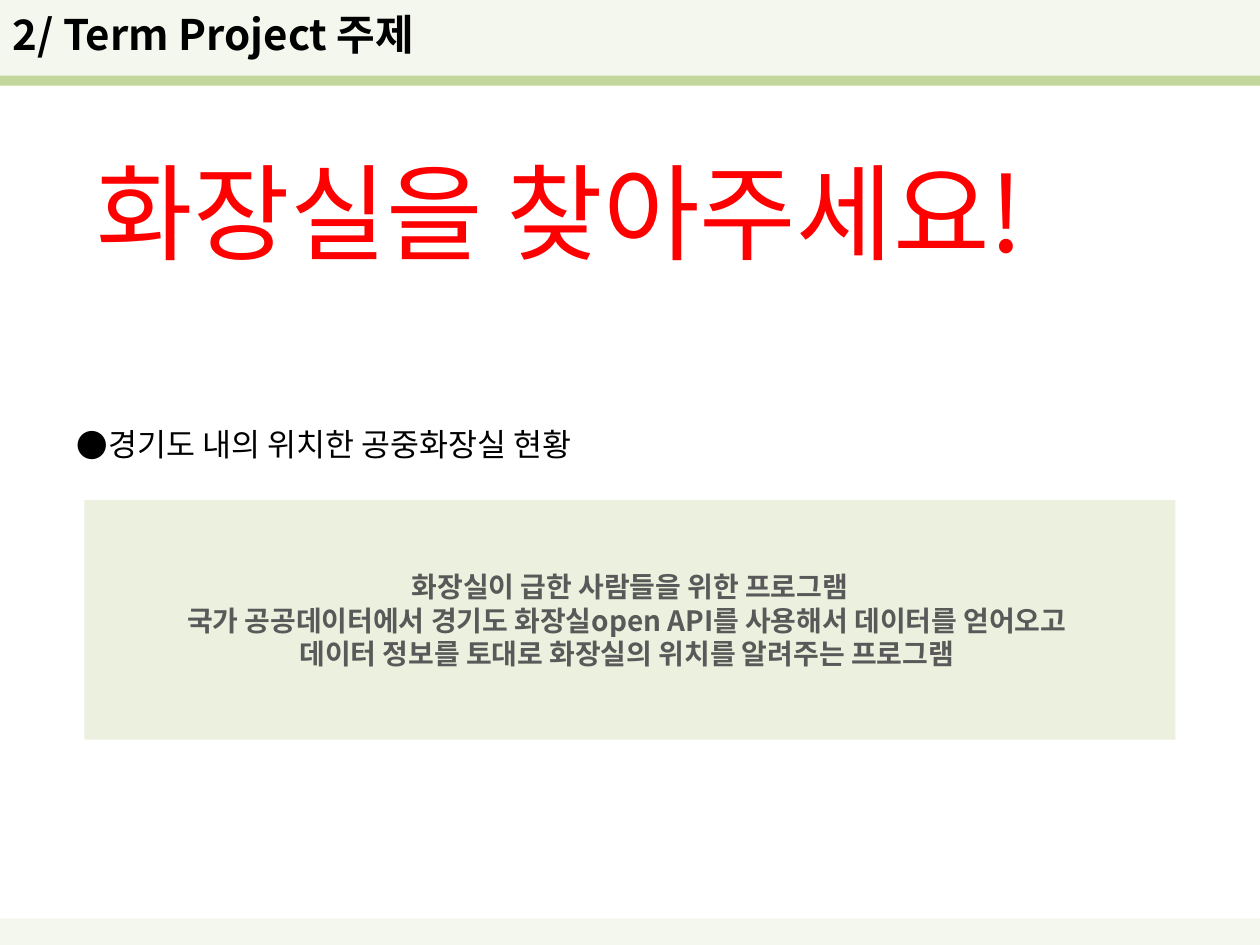
from lxml.etree import SubElement
from pptx import Presentation
from pptx.dml.color import RGBColor
from pptx.enum.shapes import MSO_SHAPE
from pptx.enum.text import MSO_ANCHOR, MSO_AUTO_SIZE, PP_ALIGN
from pptx.oxml.ns import qn
from pptx.util import Inches, Pt

FONT = "Noto Sans CJK KR"
WHITE = RGBColor(0xFF, 0xFF, 0xFF)
BLACK = RGBColor(0, 0, 0)
RED = RGBColor(0xFF, 0, 0)
GRAY = RGBColor(0x59, 0x59, 0x59)
PALE_GREEN = RGBColor(0xF4, 0xF7, 0xED)
BAND_GREEN = RGBColor(0xC3, 0xD6, 0x9B)
BOX_GREEN = RGBColor(0xEB, 0xF1, 0xDE)

# Content
TITLE = "2/ Term Project 주제"
HEADLINE = "화장실을 찾아주세요!"
TOPIC = "경기도 내의 위치한 공중화장실 현황"
SUMMARY = [
    "화장실이 급한 사람들을 위한 프로그램",
    "국가 공공데이터에서 경기도 화장실open API를 사용해서 데이터를 얻어오고 ",
    "데이터 정보를 토대로 화장실의 위치를 알려주는 프로그램 ",
]

# Layout in inches: left, top, width, height
PAGE_WIDTH, PAGE_HEIGHT = 10, 7.5
HEADER_HEIGHT, FOOTER_HEIGHT = 0.6, 0.21
MARGIN = 0.67
PANEL = (0, HEADER_HEIGHT, PAGE_WIDTH, PAGE_HEIGHT - HEADER_HEIGHT - FOOTER_HEIGHT)
BAND = (0, HEADER_HEIGHT, PAGE_WIDTH, 0.08)
SUMMARY_BOX = (MARGIN, 3.97, PAGE_WIDTH - 2 * MARGIN, 1.9)
BULLET_INDENT = Inches(0.22)


def place(box, area):
    for name, value in zip(("left", "top", "width", "height"), area):
        setattr(box, name, Inches(value))


def add_block(page, area, color):
    box = page.shapes.add_shape(MSO_SHAPE.RECTANGLE, *map(Inches, area))
    box.shadow.inherit = False
    box.fill.solid()
    box.fill.fore_color.rgb = color
    box.line.fill.background()
    return box


def write(box, lines, size, color, bold=False, align=PP_ALIGN.LEFT, anchor=MSO_ANCHOR.TOP):
    frame = box.text_frame
    frame_format = {"word_wrap": True, "auto_size": MSO_AUTO_SIZE.NONE, "vertical_anchor": anchor}
    for name, value in frame_format.items():
        setattr(frame, name, value)
    for index, line in enumerate(lines):
        para = frame.add_paragraph() if index else frame.paragraphs[0]
        para.alignment = align
        para.space_before = Pt(0)
        span = para.add_run()
        span.text = line
        for name, value in {"name": FONT, "size": Pt(size), "bold": bold}.items():
            setattr(span.font, name, value)
        span.font.color.rgb = color
        SubElement(span.font._element, qn("a:ea"), typeface=FONT)


def add_bullet(para, mark):
    properties = para._p.get_or_add_pPr()
    properties.set("marL", str(BULLET_INDENT))
    properties.set("indent", str(-BULLET_INDENT))
    SubElement(properties, qn("a:buFont"), typeface=FONT)
    SubElement(properties, qn("a:buChar"), char=mark)


deck = Presentation()
deck.slide_width, deck.slide_height = Inches(PAGE_WIDTH), Inches(PAGE_HEIGHT)
page = deck.slides.add_slide(deck.slide_layouts[1])
page.background.fill.solid()
page.background.fill.fore_color.rgb = PALE_GREEN
title, topic = page.placeholders

# White panel and green band
add_block(page, PANEL, WHITE)
add_block(page, BAND, BAND_GREEN)

# Summary box
summary = add_block(page, SUMMARY_BOX, BOX_GREEN)
write(summary, SUMMARY, 16, GRAY, bold=True, align=PP_ALIGN.CENTER, anchor=MSO_ANCHOR.MIDDLE)

# Title, topic and headline stand in front of the blocks
place(title, (0, 0.02, 4.13, 0.5))
write(title, [TITLE], 24, BLACK, bold=True)
place(topic, (0.51, 3.32, 5.59, 0.4))
write(topic, [TOPIC], 18, BLACK)
add_bullet(topic.text_frame.paragraphs[0], "●")
for box in (title, topic):
    page.shapes._spTree.append(box._element)
headline = page.shapes.add_textbox(*map(Inches, (MARGIN, 1.12, 8.74, 1.11)))
write(headline, [HEADLINE], 60, RED)

deck.save("out.pptx")
